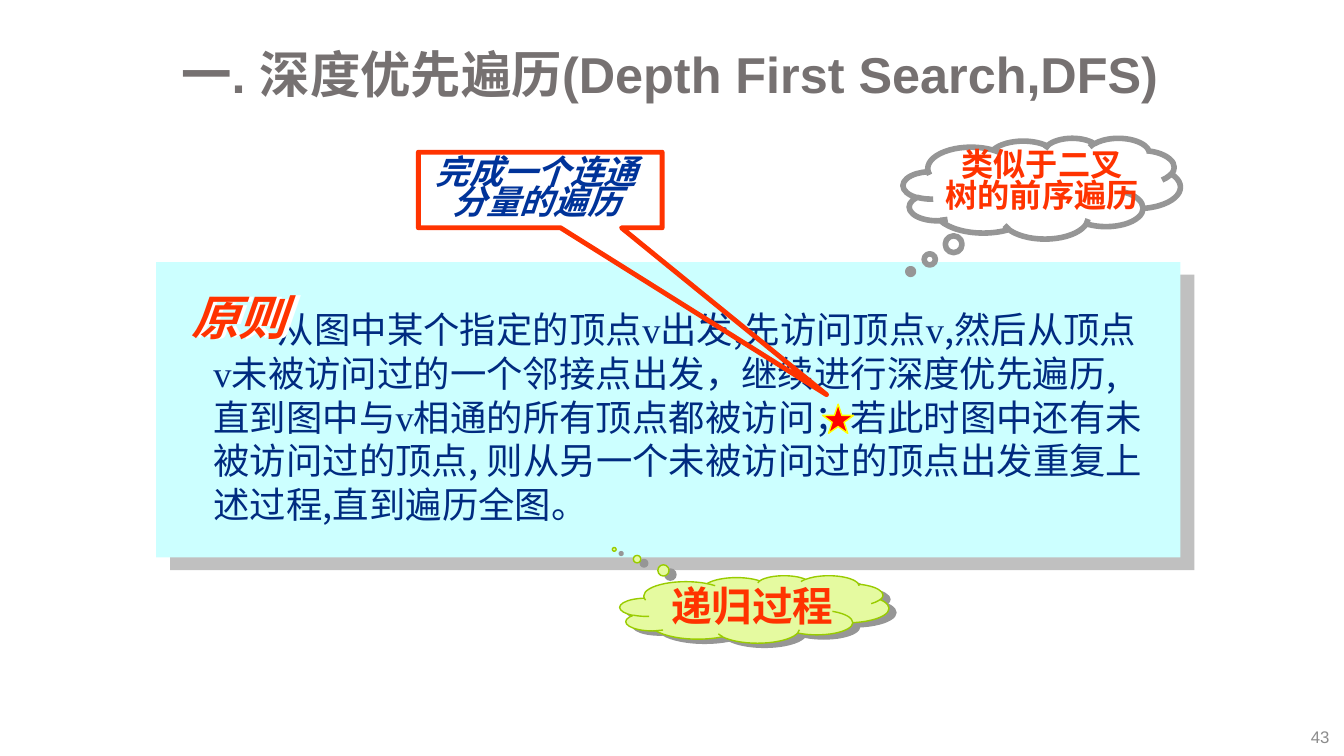
"""Build the slide on depth-first search traversal."""
from lxml import etree
from pptx import Presentation
from pptx.dml.color import RGBColor
from pptx.enum import shapes, text
from pptx.oxml.ns import qn
from pptx.util import Pt

GREY = RGBColor(0x76, 0x71, 0x71)
PAGE_GREY = RGBColor(0x8C, 0x8C, 0x8C)
CYAN = RGBColor(0xCC, 0xFF, 0xFF)
NAVY = RGBColor(0x00, 0x2B, 0x80)
BLUE = RGBColor(0x00, 0x33, 0x99)
ORANGE = RGBColor(0xFF, 0x33, 0x00)
RED = RGBColor(0xFF, 0x00, 0x00)
YELLOW = RGBColor(0xFF, 0xFF, 0x00)
LIME = RGBColor(0xE5, 0xFA, 0xA0)
GREEN = RGBColor(0x99, 0xCC, 0x00)
SILVER = RGBColor(0xC0, 0xC0, 0xC0)
CLOUD_GREY = RGBColor(0x96, 0x96, 0x96)
WHITE = RGBColor(0xFF, 0xFF, 0xFF)
BLACK = RGBColor(0x00, 0x00, 0x00)

CJK, SANS, SERIF = "Noto Sans CJK SC", "Arial", "Times New Roman"
KIND = shapes.MSO_SHAPE
LEFT, CENTER, RIGHT = text.PP_ALIGN.LEFT, text.PP_ALIGN.CENTER, text.PP_ALIGN.RIGHT

TITLE = "一. 深度优先遍历(Depth First Search,DFS)"
PRINCIPLE = [
    ("从图中某个指定的顶点", CJK), ("v", SERIF), ("出发,先访问顶点", CJK), ("v", SERIF),
    (",然后从顶点", CJK), ("v", SERIF),
    ("未被访问过的一个邻接点出发，继续进行深度优先遍历,直到图中与", CJK), ("v", SERIF),
    ("相通的所有顶点都被访问；若此时图中还有未被访问过的顶点, "
     "则从另一个未被访问过的顶点出发重复上述过程,直到遍历全图。", CJK),
]


def add_shadow(properties, color, distance, degrees):
    """Append a hard outer shadow to shape or run properties."""
    effects = properties.find(qn("a:effectLst"))
    if effects is None:
        effects = etree.SubElement(properties, qn("a:effectLst"))
    shadow = etree.SubElement(effects, qn("a:outerShdw"), blurRad="0", dist=str(Pt(distance)),
                              dir=str(degrees * 60000), algn="ctr", rotWithShape="0")
    etree.SubElement(shadow, qn("a:srgbClr"), val=str(color))


def add_figure(slide, kind, box, fill=None, line=None, width=1, adjust=(), shadow=None):
    """Add a preset shape with its fill, outline, pointer and shadow."""
    shape = slide.shapes.add_shape(kind, *map(Pt, box))
    shape.shadow.inherit = False
    for index, value in enumerate(adjust):
        shape.adjustments[index] = value
    if fill is None:
        shape.fill.background()
    else:
        shape.fill.solid()
        shape.fill.fore_color.rgb = fill
    if line is None:
        shape.line.fill.background()
    else:
        shape.line.color.rgb = line
        shape.line.width = Pt(width)
    if shadow:
        add_shadow(shape._element.spPr, *shadow)


def add_text(slide, box, paragraphs, size, color, bold=False, italic=False, align=LEFT,
             spacing=1.0, middle=False, indent=0, run_shadow=None, box_shadow=None):
    """Add a text box from paragraphs made of (wording, font) runs."""
    shape = slide.shapes.add_textbox(*map(Pt, box))
    frame = shape.text_frame
    frame.word_wrap = True
    frame.vertical_anchor = text.MSO_ANCHOR.MIDDLE if middle else text.MSO_ANCHOR.TOP
    for index, runs in enumerate(paragraphs):
        paragraph = frame.add_paragraph() if index else frame.paragraphs[0]
        paragraph.alignment = align
        paragraph.line_spacing = spacing
        if indent:
            paragraph._p.get_or_add_pPr().set("indent", str(Pt(indent)))
        for wording, font in runs:
            run = paragraph.add_run()
            run.text = wording
            run.font.size, run.font.color.rgb = Pt(size), color
            run.font.bold, run.font.italic = bold, italic
            properties = run._r.get_or_add_rPr()
            if run_shadow:
                add_shadow(properties, *run_shadow)
            run.font.name = font
            etree.SubElement(properties, qn("a:ea"), typeface=CJK)
    if box_shadow:
        add_shadow(shape._element.spPr, *box_shadow)


def main():
    """Lay out the slide and save it."""
    presentation = Presentation()
    presentation.slide_width, presentation.slide_height = Pt(960), Pt(540)
    slide = presentation.slides.add_slide(presentation.slide_layouts[6])
    dark = (BLACK, 2, 45)

    add_text(slide, (122.4, 24.5, 810, 61.2), [[(TITLE, SANS)]], 36, GREY, bold=True,
             spacing=0.9, middle=True)
    add_text(slide, (923, 512.6, 33.8, 27.4), [[("43", SANS)]], 12, PAGE_GREY,
             align=RIGHT, middle=True)

    add_figure(slide, KIND.RECTANGLE, (111.6, 187.2, 731.5, 211), CYAN,
               shadow=(SILVER, 13.5, 42))
    add_text(slide, (145.4, 216, 681.8, 164.9), [PRINCIPLE], 26, NAVY, indent=46)
    add_text(slide, (129.6, 202.3, 112.3, 48.2), [[("原则", CJK)]], 34, ORANGE,
             bold=True, italic=True, box_shadow=(WHITE, 3, 0))

    add_figure(slide, KIND.CLOUD_CALLOUT, (442.8, 411.1, 192.2, 48.2), LIME, GREEN,
               adjust=(-0.521, -0.888), shadow=(CLOUD_GREY, 5.8, 31))
    add_text(slide, (472.3, 411.1, 154.8, 41.8), [[("递归过程", CJK)]], 29, ORANGE,
             bold=True, run_shadow=dark)

    add_figure(slide, KIND.CLOUD_CALLOUT, (645.1, 98.6, 198, 72), line=CLOUD_GREY, width=4,
               adjust=(-0.473, 0.825))
    add_text(slide, (653, 105.1, 182.9, 51.8),
             [[("类似于二叉", SERIF)], [("树的前序遍历", SERIF)]], 23, ORANGE,
             bold=True, align=CENTER, spacing=0.8, run_shadow=dark)

    add_figure(slide, KIND.RECTANGULAR_CALLOUT, (298.8, 108.7, 174.2, 54), line=ORANGE,
               width=3.5, adjust=(1.174, 2.707))
    add_text(slide, (298.8, 110.9, 169.2, 50.4),
             [[("完成一个连通", SERIF)], [("分量的遍历", SERIF)]], 24, BLUE,
             bold=True, italic=True, align=CENTER, spacing=0.75)
    add_figure(slide, KIND.STAR_5_POINT, (587.5, 288.7, 22.3, 20.9), RED, YELLOW)

    presentation.save("out.pptx")


if __name__ == "__main__":
    main()
